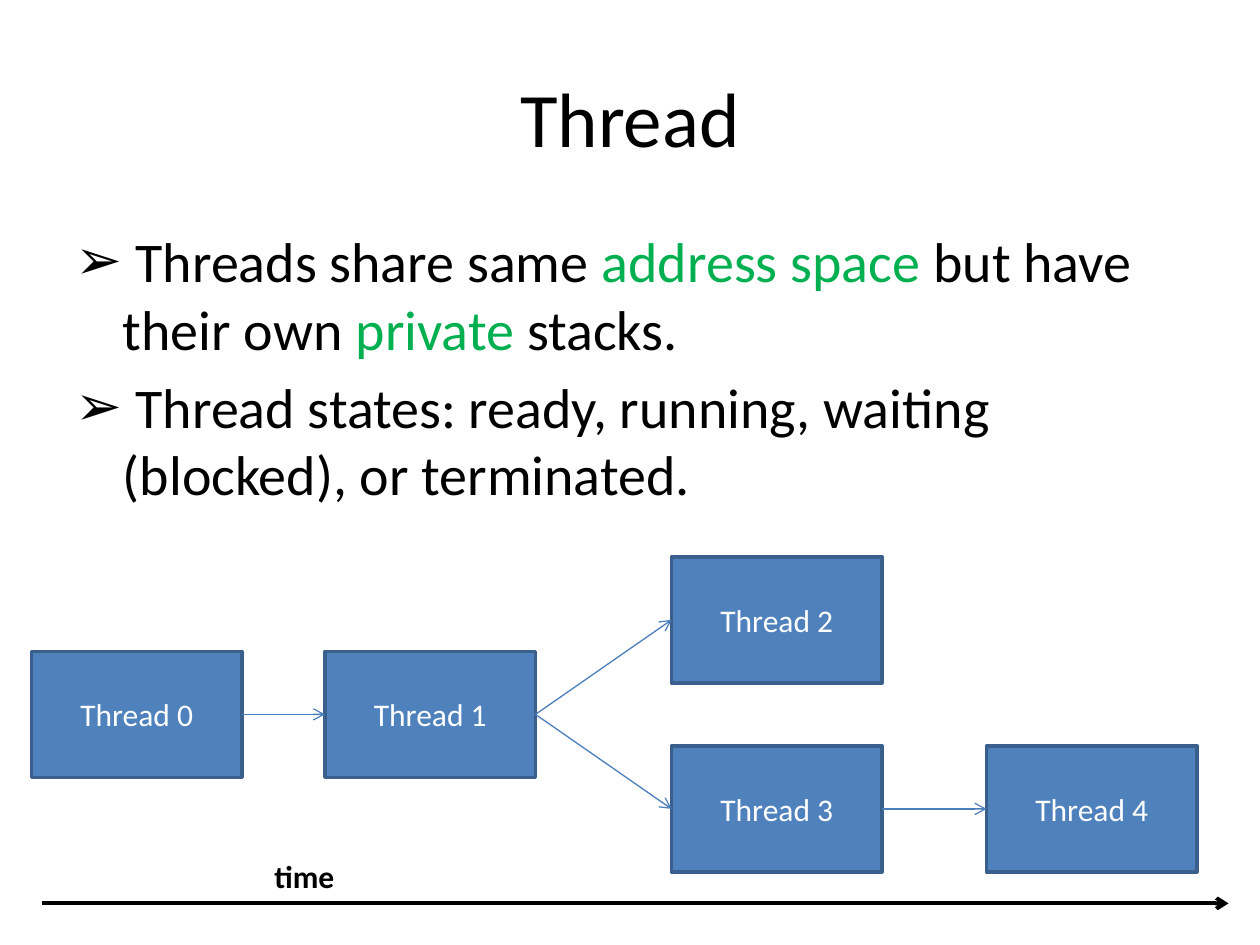
from lxml import etree
from pptx import Presentation
from pptx.dml.color import RGBColor
from pptx.enum.shapes import MSO_CONNECTOR, MSO_SHAPE
from pptx.enum.text import MSO_ANCHOR, PP_ALIGN
from pptx.oxml.ns import qn
from pptx.util import Inches, Pt

RECT, STRAIGHT = MSO_SHAPE.RECTANGLE, MSO_CONNECTOR.STRAIGHT
CENTER, MIDDLE = PP_ALIGN.CENTER, MSO_ANCHOR.MIDDLE
LEFT_SITE, RIGHT_SITE = 1, 3

COLORS = {"text": "000000", "key": "00B050", "box": "4F81BD",
          "edge": "3A5F8C", "arrow": "4B7EBC", "white": "FFFFFF"}
FONT = "Calibri"
TITLE = "Thread"
BULLETS = [
    [(" Threads share same ", "text"), ("address space ", "key"),
     ("but have their own ", "text"), ("private", "key"), (" stacks.", "text")],
    [(" Thread states: ready, running, waiting (blocked), or terminated.", "text")],
]
BOX_W, BOX_H = 1.67, 1
BOXES = [(0.25, 5.17), (2.58, 5.17), (5.33, 4.42), (5.33, 5.92), (7.83, 5.92)]
LINKS = [(0, 1), (1, 2), (1, 3), (3, 4)]


def rgb(name):
    return RGBColor.from_string(COLORS[name])


def style(p, size, color=None, bold=None):
    p.font.name, p.font.size, p.font.bold = FONT, Pt(size), bold
    if color:
        p.font.color.rgb = rgb(color)


def place(sp, left, top, width, height):
    sp.left, sp.top = Inches(left), Inches(top)
    sp.width, sp.height = Inches(width), Inches(height)


def add_arrow(x1, y1, x2, y2, color, width):
    c = s.shapes.add_connector(STRAIGHT, Inches(x1), Inches(y1), Inches(x2), Inches(y2))
    c.line.color.rgb, c.line.width = rgb(color), Pt(width)
    etree.SubElement(c.line._get_or_add_ln(), qn("a:tailEnd"), type="arrow")
    etree.SubElement(c._element.spPr, qn("a:effectLst"))
    return c


prs = Presentation()
prs.slide_width, prs.slide_height = Inches(10), Inches(7.5)
s = prs.slides.add_slide(prs.slide_layouts[1])

title, body = s.shapes.title, s.placeholders[1]
place(title, 0.5, 0.3, 9, 1.25)
title.text_frame.text = TITLE
title.text_frame.vertical_anchor = MIDDLE
p = title.text_frame.paragraphs[0]
p.alignment = CENTER
style(p, 44, "text")

place(body, 0.5, 1.75, 9, 4.95)
tf = body.text_frame
for i, runs in enumerate(BULLETS):
    p = tf.add_paragraph() if i else tf.paragraphs[0]
    style(p, 32)
    etree.SubElement(p._p.get_or_add_pPr(), qn("a:buChar"), char="➢")
    pPr = p._p.pPr
    pPr.insert(0, pPr[-1])
    for text, color in runs:
        r = p.add_run()
        r.text = text
        r.font.color.rgb = rgb(color)

boxes = []
for i, (left, top) in enumerate(BOXES):
    sp = s.shapes.add_shape(RECT, Inches(left), Inches(top), Inches(BOX_W), Inches(BOX_H))
    sp.shadow.inherit = False
    sp.fill.solid()
    sp.fill.fore_color.rgb = rgb("box")
    sp.line.color.rgb, sp.line.width = rgb("edge"), Pt(2)
    tf = sp.text_frame
    tf.text, tf.vertical_anchor = f"Thread {i}", MIDDLE
    p = tf.paragraphs[0]
    p.alignment = CENTER
    style(p, 18, "white")
    boxes.append(sp)

for a, b in LINKS:
    (x1, y1), (x2, y2) = BOXES[a], BOXES[b]
    c = add_arrow(x1 + BOX_W, y1 + BOX_H / 2, x2, y2 + BOX_H / 2, "arrow", 0.75)
    c.begin_connect(boxes[a], RIGHT_SITE)
    c.end_connect(boxes[b], LEFT_SITE)

add_arrow(0.33, 7.17, 9.75, 7.17, "text", 2.25)
tb = s.shapes.add_textbox(Inches(2.08), Inches(6.75), Inches(0.83), Inches(0.4))
tb.text_frame.word_wrap = True
tb.text_frame.text = "time"
style(tb.text_frame.paragraphs[0], 18, "text", True)

prs.save("out.pptx")
